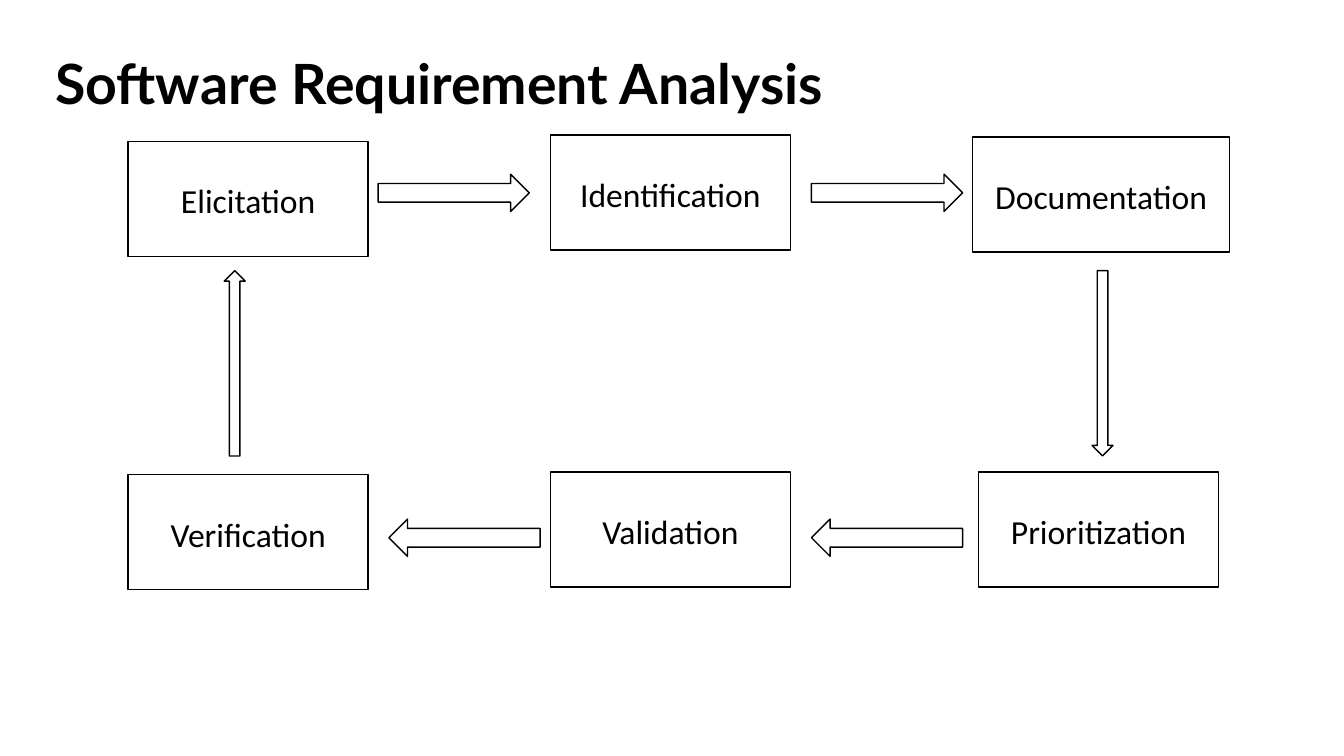
from dataclasses import dataclass

from pptx import Presentation
from pptx.dml.color import RGBColor
from pptx.enum.shapes import MSO_SHAPE as Preset
from pptx.enum.text import MSO_ANCHOR as Anchor, MSO_AUTO_SIZE as AutoSize, PP_ALIGN as Align
from pptx.util import Cm, Pt

TITLE = "Software Requirement Analysis"

# Step name, left, top, width (cm), clockwise from the top left
STEPS = [
    ("Elicitation", 3.23, 3.56, 6.05),
    ("Identification", 13.87, 3.4, 6.05),
    ("Documentation", 24.51, 3.45, 6.48),
    ("Prioritization", 24.66, 11.89, 6.05),
    ("Validation", 13.87, 11.89, 6.05),
    ("Verification", 3.23, 11.96, 6.05),
]
STEP_HEIGHT = 2.9

# Arrow length and thickness (cm)
ACROSS = (3.81, 0.94)
UPRIGHT = (4.67, 0.53)

# Left, top before rotation (cm), size, rotation in degrees
ARROWS = [
    (9.53, 4.39, ACROSS, 0),
    (20.45, 4.39, ACROSS, 0),
    (25.45, 8.89, UPRIGHT, 90),
    (20.45, 13.08, ACROSS, 180),
    (9.8, 13.08, ACROSS, 180),
    (3.58, 8.89, UPRIGHT, 270),
]


@dataclass(frozen=True)
class Theme:
    ink: RGBColor = RGBColor(0, 0, 0)
    paper: RGBColor = RGBColor(255, 255, 255)
    title_font: str = "Lato"
    step_font: str = "Calibri"
    title_size: float = 39.6
    step_size: float = 24
    line_width: float = 1


THEME = Theme()


def format_text(text_frame, font_name, size, align, line_spacing, bold=False):
    text_frame.word_wrap = True
    text_frame.auto_size = AutoSize.NONE
    text_frame.vertical_anchor = Anchor.MIDDLE
    paragraph = text_frame.paragraphs[0]
    paragraph.alignment = align
    paragraph.line_spacing = line_spacing
    font = paragraph.runs[0].font
    font.name = font_name
    font.size = Pt(size)
    font.bold = bold
    font.color.rgb = THEME.ink


def add_outlined_shape(slide, preset, left, top, width, height):
    shape = slide.shapes.add_shape(preset, Cm(left), Cm(top), Cm(width), Cm(height))
    shape.shadow.inherit = False
    shape.fill.solid()
    shape.fill.fore_color.rgb = THEME.paper
    shape.line.color.rgb = THEME.ink
    shape.line.width = Pt(THEME.line_width)
    return shape


def add_title(slide):
    title = slide.shapes.title
    title.left, title.top, title.width, title.height = Cm(1.14), Cm(0.94), Cm(25.7), Cm(2.46)
    title.text_frame.text = TITLE
    format_text(title.text_frame, THEME.title_font, THEME.title_size, Align.LEFT, 0.9, bold=True)


def add_step(slide, name, left, top, width):
    box = add_outlined_shape(slide, Preset.RECTANGLE, left, top, width, STEP_HEIGHT)
    box.text_frame.text = name
    format_text(box.text_frame, THEME.step_font, THEME.step_size, Align.CENTER, 1.07)
    box.text_frame.paragraphs[0].space_after = Pt(8)


def main():
    presentation = Presentation()
    presentation.slide_width, presentation.slide_height = Cm(33.87), Cm(19.05)
    slide = presentation.slides.add_slide(presentation.slide_layouts[5])
    add_title(slide)
    for step in STEPS:
        add_step(slide, *step)
    for left, top, size, rotation in ARROWS:
        arrow = add_outlined_shape(slide, Preset.RIGHT_ARROW, left, top, *size)
        arrow.rotation = rotation
    presentation.save("out.pptx")


if __name__ == "__main__":
    main()
